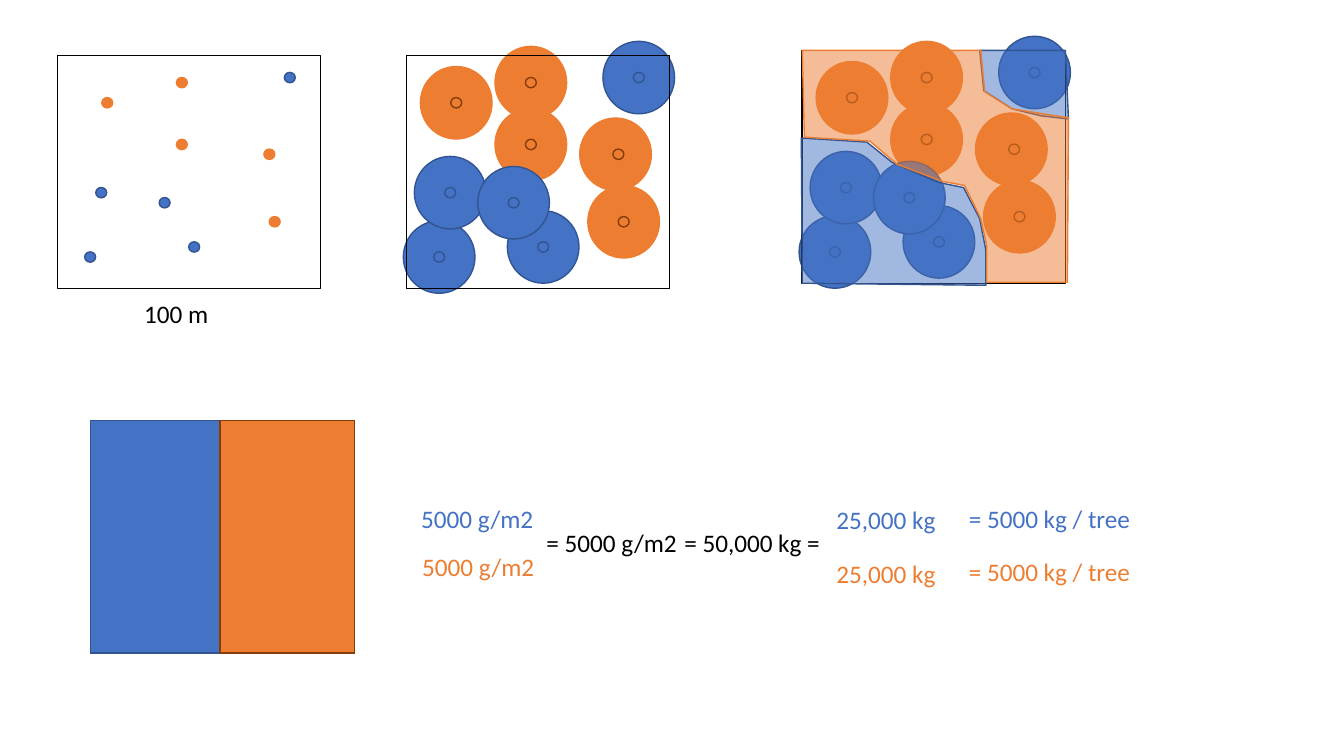
import pptx
import pptx.util
from lxml import etree
from pptx.dml.color import RGBColor
from pptx.enum.shapes import MSO_SHAPE
from pptx.enum.text import MSO_AUTO_SIZE
from pptx.oxml.ns import qn

Pt = pptx.util.Pt
BLUE = RGBColor(0x44, 0x72, 0xC4)
DARK_BLUE = RGBColor(0x32, 0x54, 0x91)
ORANGE = RGBColor(0xED, 0x7D, 0x31)
BROWN = RGBColor(0x84, 0x3C, 0x0B)
BLACK = RGBColor(0, 0, 0)


def style(sp, fill, line, alpha=None):
    """Set fill (None for no fill), a 1 pt line and optional opacity in percent."""
    sp.shadow.inherit = False
    sp.line.color.rgb = line
    sp.line.width = Pt(1)
    if fill is None:
        sp.fill.background()
        return
    sp.fill.solid()
    sp.fill.fore_color.rgb = fill
    if alpha:
        color = sp._element.spPr.find(qn("a:solidFill"))[0]
        etree.SubElement(color, qn("a:alpha")).set("val", str(alpha * 1000))


def add_text(text, x, y, w, h=29, size=18, color=BLACK, font="Calibri"):
    """Add a one-line text box that does not wrap."""
    tf = s.shapes.add_textbox(Pt(x), Pt(y), Pt(w), Pt(h)).text_frame
    tf.word_wrap = False
    tf.auto_size = MSO_AUTO_SIZE.SHAPE_TO_FIT_TEXT
    r = tf.paragraphs[0].add_run()
    r.text = text
    r.font.size = Pt(size)
    r.font.name = font
    r.font.color.rgb = color


prs = pptx.Presentation()
prs.slide_width, prs.slide_height = Pt(960), Pt(540)
s = prs.slides.add_slide(prs.slide_layouts[6])

PLOT_W, PLOT_H = 188, 166.4
DOT_W, DOT_H = 7.8, 7.4
CROWN_W, CROWN_H = 51.2, 51.8

# Trees: stem centre within the plot, sideways shift of the crown
orange_trees = [(35.6, 33.8, 0), (88.9, 19.4, 0), (88.9, 63.6, 0),
                (151.4, 70.6, -2), (155.2, 118.8, 0)]
blue_trees = [(23.4, 144, 0), (31.3, 98, 0), (97.7, 136.8, 0),
              (76.6, 105.2, 0), (166, 15.8, 0)]
trees = [(ORANGE, *t) for t in orange_trees] + [(BLUE, *t) for t in blue_trees]

# Plots: left, top, whether crowns are shown
for left, top, has_crowns in [(41, 39.6, False), (290.3, 39.6, True), (573, 36, True)]:
    if has_crowns:
        for color, x, y, shift in trees:
            crown = s.shapes.add_shape(
                MSO_SHAPE.OVAL, Pt(left + x + shift - CROWN_W / 2),
                Pt(top + y - CROWN_H / 2), Pt(CROWN_W), Pt(CROWN_H))
            style(crown, color, DARK_BLUE if color == BLUE else ORANGE)
    frame = s.shapes.add_shape(MSO_SHAPE.RECTANGLE, Pt(left), Pt(top),
                               Pt(PLOT_W), Pt(PLOT_H))
    style(frame, None, BLACK)
    orange_edge = BROWN if has_crowns else ORANGE
    for color, x, y, shift in trees:
        stem = s.shapes.add_shape(MSO_SHAPE.OVAL, Pt(left + x - DOT_W / 2),
                                  Pt(top + y - DOT_H / 2), Pt(DOT_W), Pt(DOT_H))
        style(stem, color, DARK_BLUE if color == BLUE else orange_edge)

# Half-transparent areas of each species over the third plot
areas = [
    (BLUE, DARK_BLUE, [
        (572.4, 98.6), (619.2, 101.5), (637.2, 116), (670.3, 130.3), (688.3, 134),
        (699.8, 156.2), (704.2, 178.6), (704.2, 203.8), (573.1, 202.3)]),
    (BLUE, DARK_BLUE, [
        (699.8, 36), (702.7, 64.8), (722.9, 77.8), (743.8, 82.8), (763.2, 85),
        (761, 36)]),
    (ORANGE, ORANGE, [
        (573.1, 36), (700.6, 36), (703.4, 65.5), (722.9, 77.8), (763.2, 84.2),
        (762.5, 201.6), (704.9, 201.6), (704.9, 175.7), (700.6, 156.2),
        (689, 132.5), (673.2, 129.6), (640.8, 117.4), (621.4, 100.8), (574.6, 98)]),
]
for fill, line, corners in areas:
    points = [(Pt(x), Pt(y)) for x, y in corners]
    outline = s.shapes.build_freeform(*points[0])
    outline.add_line_segments(points[1:], close=True)
    style(outline.convert_to_shape(), fill, line, alpha=50)

# Plot split between the two species
for x, w, fill, line in [(64.8, PLOT_W, None, BLACK), (64.8, 92.2, BLUE, DARK_BLUE),
                         (157, 96.4, ORANGE, BROWN)]:
    share = s.shapes.add_shape(MSO_SHAPE.RECTANGLE, Pt(x), Pt(300.2), Pt(w), Pt(PLOT_H))
    style(share, fill, line)

for text, x, y, w, color in [
    ("5000 g/m2", 293.8, 355.7, 95.8, BLUE),
    ("5000 g/m2", 294.5, 390.5, 95.8, ORANGE),
    ("= 5000 g/m2", 383.2, 373.2, 108.7, BLACK),
    ("100 m", 95.8, 209.5, 61.2, BLACK),
    ("25,000 kg", 590.4, 356.6, 86.4, BLUE),
    ("25,000 kg", 590.4, 395.3, 86.4, ORANGE),
    ("= 50,000 kg = ", 481.7, 373.2, 116.6, BLACK),
    ("= 5000 kg / tree", 684.9, 355.7, 131, BLUE),
    ("= 5000 kg / tree", 684.9, 394, 131, ORANGE),
]:
    add_text(text, x, y, w, color=color)

prs.save("out.pptx")
